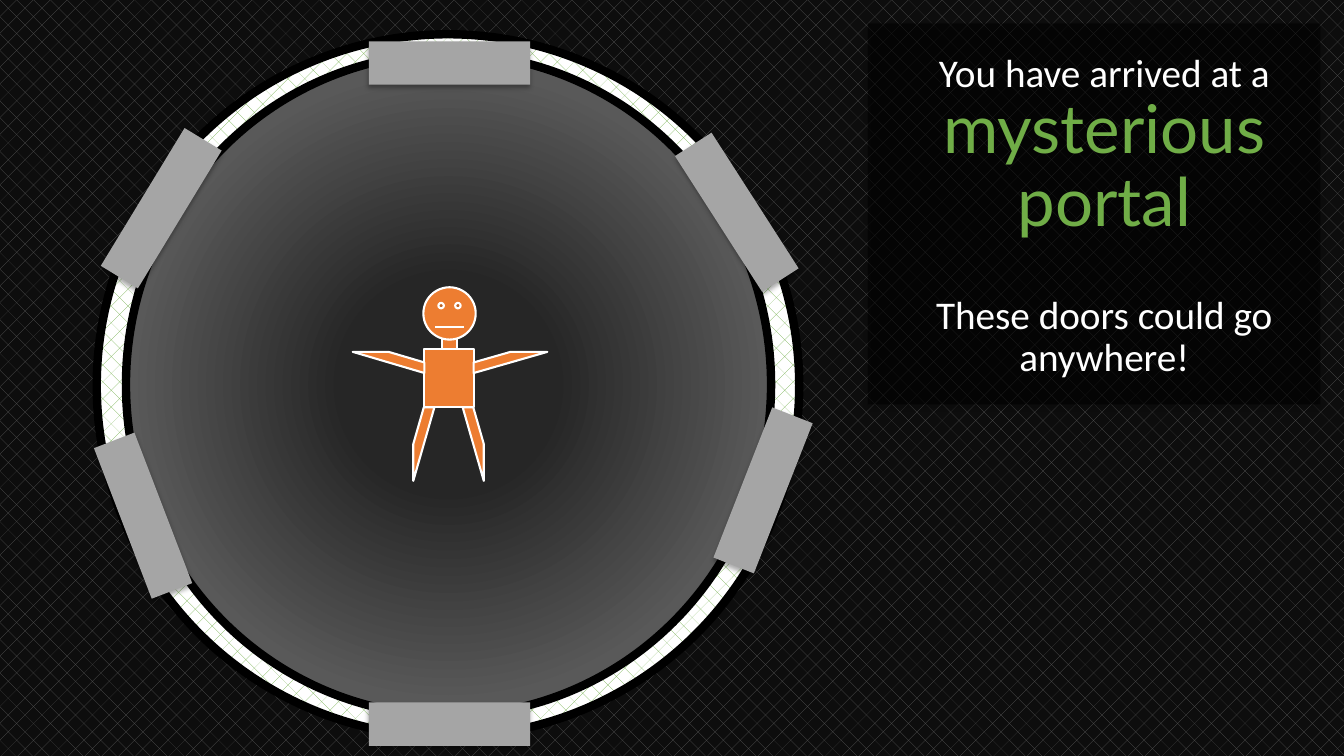
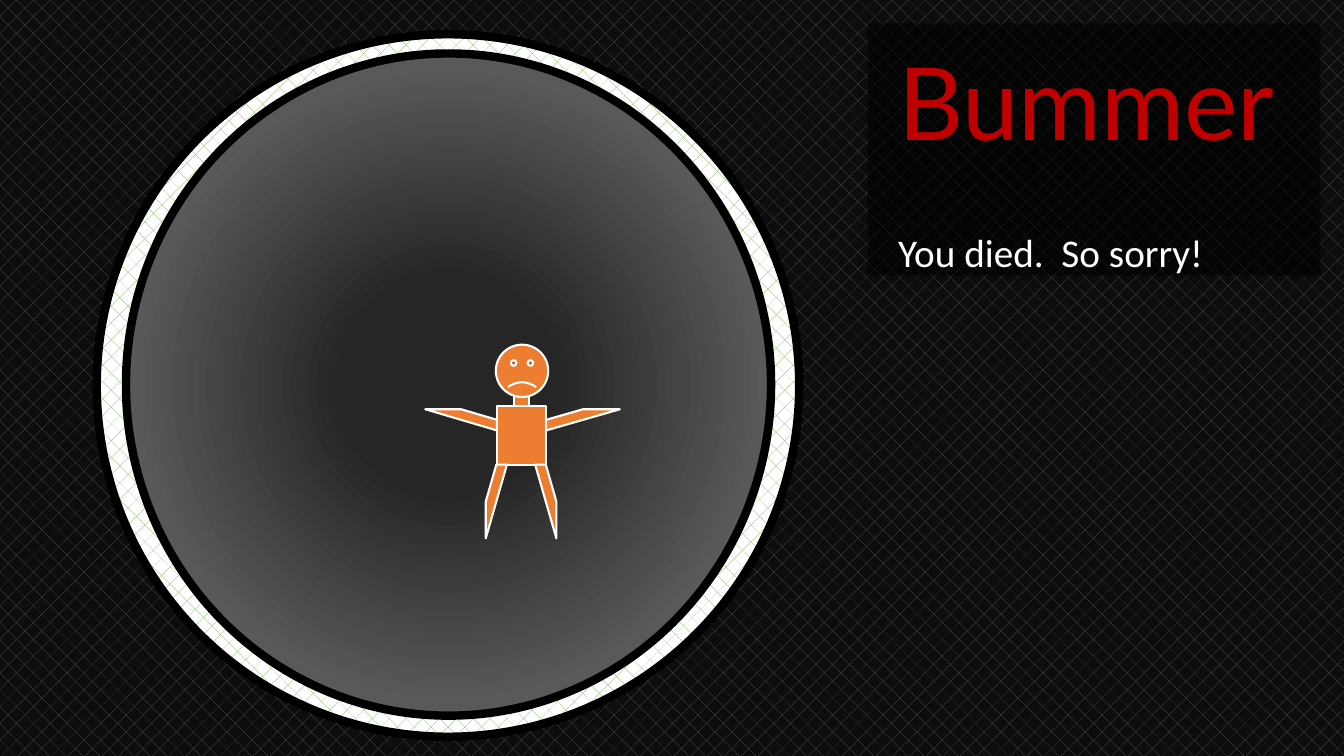
from dataclasses import dataclass

import pptx
import pptx.dml.color
import pptx.enum.dml
import pptx.enum.shapes
import pptx.enum.text
import pptx.oxml
import pptx.oxml.ns
import pptx.shapes.shapetree
import pptx.util

Pt = pptx.util.Pt
Kind = pptx.enum.shapes.MSO_SHAPE
Align = pptx.enum.text.PP_ALIGN


@dataclass(frozen=True)
class Theme:
    white: str = "FFFFFF"
    black: str = "000000"
    night: str = "0D0D0D"
    night_weave: str = "595959"
    green: str = "70AD47"
    red: str = "C00000"
    door: str = "A5A5A5"
    figure: str = "ED7D31"
    glow: tuple = ((0, "262626"), (23, "262626"), (69, "595959"), (97, "808080"))
    text_font: str = "Calibri"
    display_font: str = "Lato"
    text_size: float = 28
    display_size: float = 48
    headline_size: float = 72
    ring_line: float = 6
    figure_line: float = 1.5


THEME = Theme()


@dataclass(frozen=True)
class Span:
    text: str
    size: float = THEME.text_size
    font: str = THEME.text_font
    color: str = THEME.white


@dataclass(frozen=True)
class Para:
    spans: tuple[Span, ...]
    space_before: float = 0


@dataclass(frozen=True)
class Door:
    left: float
    top: float
    rotation: float = 0


@dataclass(frozen=True)
class Part:
    """One piece of the figure, placed relative to the figure's top left."""
    kind: Kind
    left: float
    top: float
    width: float
    height: float
    rotation: float = 0
    flips: tuple[str, ...] = ()


DOOR_WIDTH, DOOR_HEIGHT = 115.2, 31
DOORS = (
    Door(263.5, 29.5),
    Door(468.7, 136.1, 57.3),
    Door(57.6, 133.2, 301.3),
    Door(44.6, 352.8, 249),
    Door(487.4, 334.8, 111.4),
    Door(263.5, 501.8),
)
FIGURE = (
    Part(Kind.RECTANGLE, 63.4, 36, 10.8, 10.8),
    Part(Kind.SMILEY_FACE, 50.4, 0, 37.4, 37.4),
    Part(Kind.RECTANGLE, 51.1, 43.9, 35.3, 41.8),
    Part(Kind.DIAGONAL_STRIPE, 43.2, 85.7, 15.1, 52.6),
    Part(Kind.DIAGONAL_STRIPE, 78.5, 85.7, 15.1, 52.6, 0, ("flipH",)),
    Part(Kind.DIAGONAL_STRIPE, 105.1, 27.4, 15.1, 52.6, 270, ("flipH",)),
    Part(Kind.DIAGONAL_STRIPE, 18, 28.1, 15.1, 51.1, 270, ("flipH", "flipV")),
)


def rgb(color: str) -> pptx.dml.color.RGBColor:
    return pptx.dml.color.RGBColor.from_string(color)


def fill_weave(fill, front: str, back: str) -> None:
    fill.patterned()
    fill.pattern = pptx.enum.dml.MSO_PATTERN.DIAGONAL_BRICK
    fill.fore_color.rgb = rgb(front)
    fill.back_color.rgb = rgb(back)


def fill_glow(shape) -> None:
    """Fill the shape with the theme's gradient, from the centre outwards."""
    stops = "".join(
        f'<a:gs pos="{position * 1000}"><a:srgbClr val="{color}"/></a:gs>'
        for position, color in THEME.glow
    )
    gradient = pptx.oxml.parse_xml(
        f'<a:gradFill {pptx.oxml.ns.nsdecls("a")} rotWithShape="1"><a:gsLst>{stops}</a:gsLst>'
        '<a:path path="circle"><a:fillToRect l="50000" t="50000" r="50000" b="50000"/></a:path>'
        "</a:gradFill>"
    )
    shape.fill.solid()
    properties = shape.element.spPr
    solid = properties.find(pptx.oxml.ns.qn("a:solidFill"))
    properties.replace(solid, gradient)


def fill_solid(shape, color: str) -> None:
    shape.fill.solid()
    shape.fill.fore_color.rgb = rgb(color)


def make_half_clear(shape) -> None:
    color = shape.element.spPr.find(".//" + pptx.oxml.ns.qn("a:srgbClr"))
    color.append(pptx.oxml.parse_xml(f'<a:alpha {pptx.oxml.ns.nsdecls("a")} val="50000"/>'))


def cast_shadow(shape) -> None:
    shape.shadow.inherit = False
    effects = shape.element.spPr.find(pptx.oxml.ns.qn("a:effectLst"))
    effects.append(pptx.oxml.parse_xml(
        f'<a:outerShdw {pptx.oxml.ns.nsdecls("a")} blurRad="{Pt(3.5)}" dist="{Pt(2.2)}" '
        f'dir="5400000" rotWithShape="0"><a:srgbClr val="{THEME.black}">'
        '<a:alpha val="32000"/></a:srgbClr></a:outerShdw>'
    ))


def add_shape(shapes, kind: Kind, left: float, top: float, width: float, height: float):
    shape = shapes.add_shape(kind, Pt(left), Pt(top), Pt(width), Pt(height))
    shape.shadow.inherit = False
    return shape


def outline(shape, color: str, width: float) -> None:
    shape.line.color.rgb = rgb(color)
    shape.line.width = Pt(width)


def prepare_layout(layout) -> None:
    """Leave only the body placeholder, and draw the backdrop and the portal."""
    for placeholder in list(layout.placeholders):
        if placeholder.placeholder_format.idx != 1:
            layout.shapes.element.remove(placeholder.element)
    fill_weave(layout.background.fill, THEME.night_weave, THEME.night)
    shapes = pptx.shapes.shapetree.SlideShapes(layout.shapes.element, layout)
    ring = add_shape(shapes, Kind.OVAL, 69.1, 24.5, 501.8, 501.8)
    fill_weave(ring.fill, THEME.green, THEME.white)
    floor = add_shape(shapes, Kind.OVAL, 90, 38.2, 460.8, 473)
    fill_glow(floor)
    for disc in (ring, floor):
        outline(disc, THEME.black, THEME.ring_line)


def set_font(font, span: Span) -> None:
    font.name = span.font
    font.size = Pt(span.size)
    font.color.rgb = rgb(span.color)
    font.bold = False


def write_message(page, height: float, paras: tuple[Para, ...], alignment: Align) -> None:
    box = page.placeholders[1]
    box.left, box.top, box.width, box.height = Pt(619.9), Pt(16.6), Pt(323.3), Pt(height)
    fill_solid(box, THEME.black)
    make_half_clear(box)
    cast_shadow(box)
    frame = box.text_frame
    frame.word_wrap = True
    frame.auto_size = pptx.enum.text.MSO_AUTO_SIZE.NONE
    frame.vertical_anchor = pptx.enum.text.MSO_ANCHOR.TOP
    frame.margin_left = frame.margin_top = Pt(21.6)
    frame.margin_right, frame.margin_bottom = Pt(7.2), Pt(3.6)
    for index, para in enumerate(paras):
        paragraph = frame.add_paragraph() if index else frame.paragraphs[0]
        paragraph.alignment = alignment
        paragraph.line_spacing = 0.9
        paragraph.space_before = Pt(para.space_before)
        for span in para.spans:
            run = paragraph.add_run()
            run.text = span.text
            if len(para.spans) > 1:
                set_font(run.font, span)
        if len(para.spans) == 1:
            set_font(paragraph.font, para.spans[0])


def draw_doors(page) -> None:
    for door in DOORS:
        shape = add_shape(page.shapes, Kind.RECTANGLE, door.left, door.top,
                          DOOR_WIDTH, DOOR_HEIGHT)
        shape.rotation = door.rotation
        fill_solid(shape, THEME.door)
        shape.line.fill.background()
        cast_shadow(shape)


def draw_figure(page, left: float, top: float, smile: float) -> None:
    group = page.shapes.add_group_shape()
    for part in FIGURE:
        shape = add_shape(group.shapes, part.kind, left + part.left, top + part.top,
                          part.width, part.height)
        shape.rotation = part.rotation
        for flip in part.flips:
            shape.element.spPr.get_or_add_xfrm().set(flip, "1")
        if part.kind == Kind.SMILEY_FACE:
            shape.adjustments[0] = smile
        fill_solid(shape, THEME.figure)
        outline(shape, THEME.white, THEME.figure_line)


def build_portal(page) -> None:
    write_message(page, 272.2, (
        Para((
            Span("You have arrived at a "),
            Span("mysterious portal", THEME.display_size, THEME.display_font, THEME.green),
        )),
        Para((Span("These doors could go anywhere!"),), space_before=39),
    ), Align.CENTER)
    draw_doors(page)
    draw_figure(page, 252, 205.2, smile=0)


def build_bummer(page) -> None:
    write_message(page, 180, (
        Para((Span("Bummer", THEME.headline_size, THEME.display_font, THEME.red),)),
        Para((Span("You died.  So sorry!"),), space_before=51),
    ), Align.LEFT)
    draw_figure(page, 303.8, 246.2, smile=-0.05)


def main() -> None:
    deck = pptx.Presentation()
    deck.slide_width, deck.slide_height = Pt(960), Pt(540)
    layout = deck.slide_layouts.get_by_name("Section Header")
    prepare_layout(layout)
    for build in (build_portal, build_bummer):
        build(deck.slides.add_slide(layout))
    deck.save("out.pptx")


if __name__ == "__main__":
    main()
